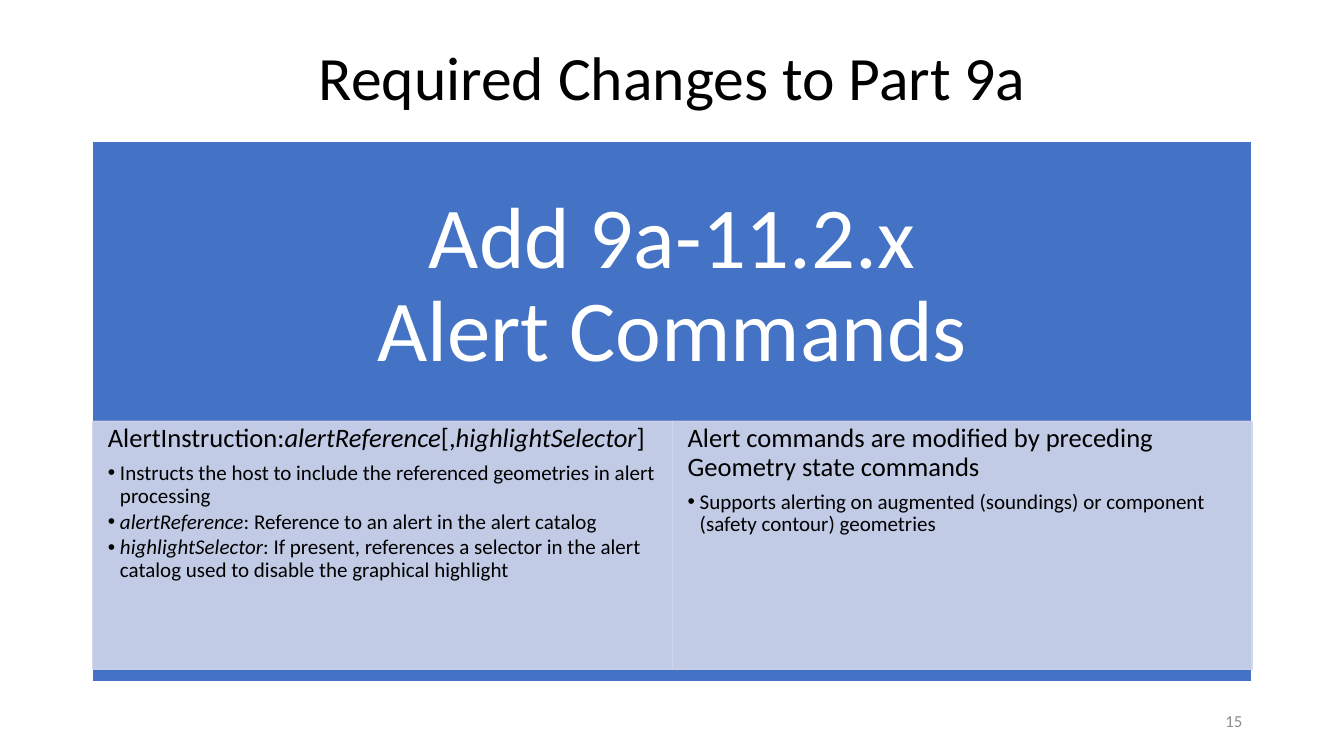
from collections import namedtuple

from lxml.etree import SubElement
from pptx import Presentation
from pptx.dml.color import RGBColor
from pptx.enum.shapes import MSO_SHAPE
from pptx.enum.text import MSO_ANCHOR, MSO_AUTO_SIZE, PP_ALIGN
from pptx.oxml.ns import qn
from pptx.util import Inches, Pt

COLORS = {"blue": "4472C4", "pale": "CFD5EA", "white": "FFFFFF", "black": "000000", "gray": "8C8C8C"}
FONT = "Calibri"
PANEL_OPACITY = 90
Box = namedtuple("Box", "left top width height")

PANELS = [
    ("AlertInstruction:*alertReference*[,*highlightSelector*]", [
        "Instructs the host to include the referenced geometries in alert processing",
        "*alertReference*: Reference to an alert in the alert catalog",
        "*highlightSelector*: If present, references a selector in the alert catalog "
        "used to disable the graphical highlight",
    ]),
    ("Alert commands are modified by preceding Geometry state commands", [
        "Supports alerting on augmented (soundings) or component (safety contour) geometries",
    ]),
]


def rgb(name):
    """Return the named palette colour."""
    return RGBColor.from_string(COLORS[name])


def lengths(box):
    """Convert a box in inches to slide lengths."""
    return [Inches(value) for value in box]


def prepare_frame(shape, margins=(0.1, 0.05), anchor=MSO_ANCHOR.MIDDLE):
    """Set wrapping, margins and anchor, and return the text frame."""
    frame = shape.text_frame
    frame.word_wrap = True
    frame.auto_size = MSO_AUTO_SIZE.NONE
    frame.vertical_anchor = anchor
    frame.margin_left = frame.margin_right = Inches(margins[0])
    frame.margin_top = frame.margin_bottom = Inches(margins[1])
    return frame


def add_bullet(para):
    """Give a paragraph a hanging round bullet."""
    para.level = 1
    properties = para._p.get_or_add_pPr()
    properties.set("marL", str(Inches(0.12)))
    properties.set("indent", str(Inches(-0.12)))
    SubElement(properties, qn("a:buFont"), typeface="Arial")
    SubElement(properties, qn("a:buChar"), char="•")


def write(para, text, size, color="black", align=PP_ALIGN.LEFT, spacing=0.9, after=0, bullet=False):
    """Write text whose starred parts are italic and whose newlines are line breaks."""
    if bullet:
        add_bullet(para)
    para.alignment = align
    para.line_spacing = spacing
    para.space_before = Pt(0)
    para.space_after = Pt(after)
    for line_number, line in enumerate(text.split("\n")):
        if line_number:
            para.add_line_break()
        for part_number, part in enumerate(line.split("*")):
            if part:
                span = para.add_run()
                span.text = part
                span.font.name = FONT
                span.font.size = Pt(size)
                span.font.italic = part_number % 2 == 1
                span.font.color.rgb = rgb(color)


def add_rectangle(page, box, fill, line, opacity=100):
    """Add a rectangle with a one-point outline."""
    shape = page.shapes.add_shape(MSO_SHAPE.RECTANGLE, *lengths(box))
    shape.shadow.inherit = False
    shape.fill.solid()
    shape.fill.fore_color.rgb = rgb(fill)
    shape.line.color.rgb = rgb(line)
    shape.line.width = Pt(1)
    if opacity < 100:
        for color in shape._element.spPr.iter(qn("a:srgbClr")):
            SubElement(color, qn("a:alpha"), val=str(opacity * 1000))
    return shape


def add_title(page, box, text):
    """Place and fill the title placeholder."""
    title = page.shapes.title
    title.left, title.top, title.width, title.height = lengths(box)
    write(prepare_frame(title).paragraphs[0], text, 44, align=PP_ALIGN.CENTER)


def add_panel(page, box, heading, bullets):
    """Add a pale panel with a heading and its bullets."""
    panel = add_rectangle(page, box, "pale", "pale", PANEL_OPACITY)
    frame = prepare_frame(panel, (0.15, 0.03), MSO_ANCHOR.TOP)
    write(frame.paragraphs[0], heading, 19, after=6.65)
    for bullet in bullets:
        write(frame.add_paragraph(), bullet, 15, after=2.25, bullet=True)


def add_change_block(page, box, heading, panels):
    """Add the blue block with its heading and a row of panels."""
    add_rectangle(page, box, "blue", "white")
    heading_box = page.shapes.add_textbox(*lengths(box._replace(height=2.89)))
    frame = prepare_frame(heading_box, (0.48, 0.48))
    write(frame.paragraphs[0], heading, 62, "white", PP_ALIGN.CENTER)
    width = box.width / len(panels)
    for index, (panel_heading, bullets) in enumerate(panels):
        panel_box = Box(box.left + index * width, box.top + 2.78, width, 2.46)
        add_panel(page, panel_box, panel_heading, bullets)


def add_page_number(page, box, number):
    """Add the right-aligned page number."""
    frame = prepare_frame(page.shapes.add_textbox(*lengths(box)))
    write(frame.paragraphs[0], number, 12, "gray", PP_ALIGN.RIGHT, spacing=1.0)


def main():
    """Build and save the deck."""
    deck = Presentation()
    deck.slide_width, deck.slide_height = Inches(13.33), Inches(7.5)
    page = deck.slides.add_slide(deck.slide_layouts[5])
    add_title(page, Box(0.92, 0.4, 11.5, 0.79), "Required Changes to Part 9a")
    add_change_block(page, Box(0.92, 1.4, 11.5, 5.36), "Add 9a-11.2.x\nAlert Commands", PANELS)
    add_page_number(page, Box(9.42, 6.95, 3, 0.4), "15")
    deck.save("out.pptx")


if __name__ == "__main__":
    main()
